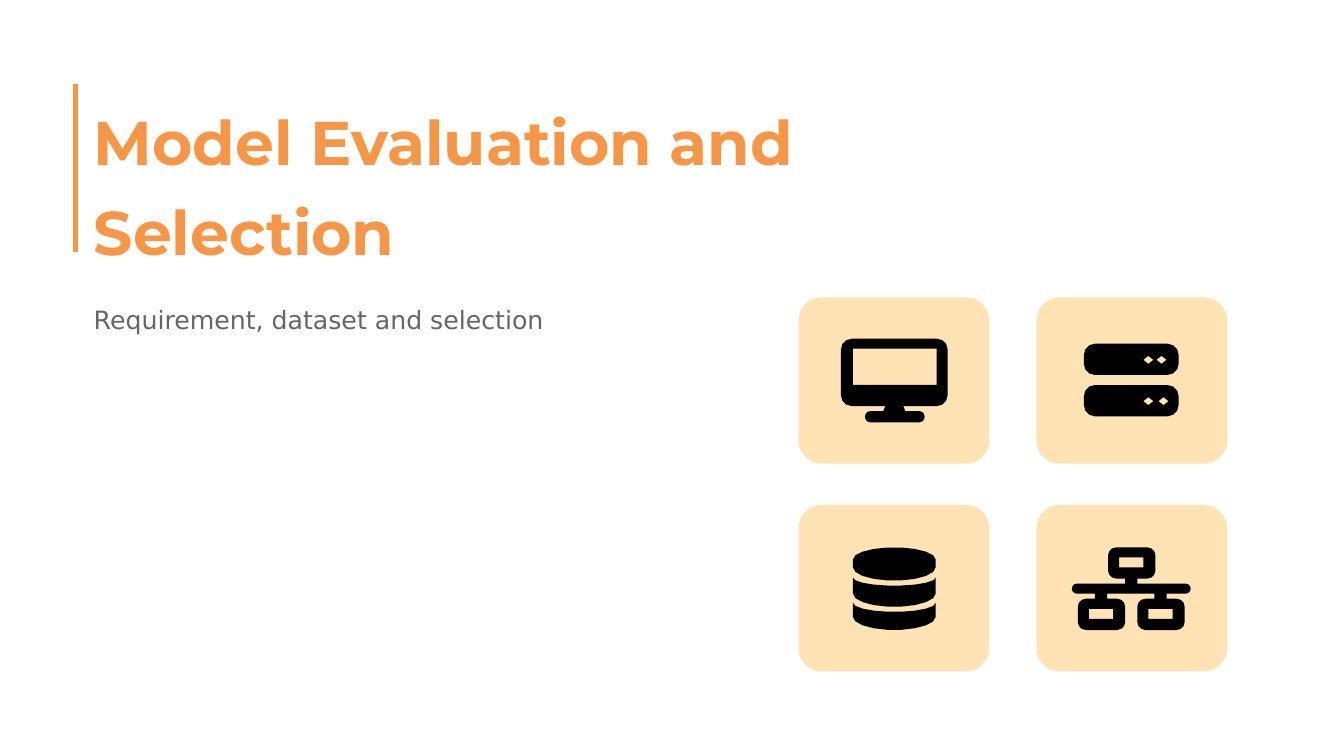
import math
from lxml import etree
from pptx import Presentation
from pptx import util as u
from pptx.dml.color import RGBColor
from pptx.enum import shapes, text
from pptx.oxml.ns import qn

ORANGE, CREAM, BLACK, GRAY = "F79646", "FFE3B4", "000000", "666666"

deck = Presentation()
deck.slide_width, deck.slide_height = u.Inches(13.33), u.Inches(7.5)
page = deck.slides.add_slide(deck.slide_layouts[5])


def write(box, content, size, font, color, bold=False, spacing=1.0, top=0.0):
    frame = box.text_frame
    frame.word_wrap = True
    frame.auto_size = text.MSO_AUTO_SIZE.SHAPE_TO_FIT_TEXT
    frame.vertical_anchor = text.MSO_ANCHOR.TOP
    frame.margin_left = frame.margin_right = frame.margin_bottom = 0
    frame.margin_top = u.Inches(top)
    para = frame.paragraphs[0]
    para.alignment = text.PP_ALIGN.LEFT
    para.line_spacing = spacing
    span = para.add_run()
    span.text = content
    span.font.size = u.Pt(size)
    span.font.name = font
    span.font.bold = bold
    span.font.color.rgb = RGBColor.from_string(color)


def block(left, top, width, height, corner=0):
    right, bottom = left + width - corner, top + height - corner
    centers = ((right, bottom), (left + corner, bottom),
               (left + corner, top + corner), (right, top + corner))
    turns = (0, 30, 60, 90) if corner else (0,)
    return [(x + corner * math.cos(math.radians(90 * quarter + turn)),
             y + corner * math.sin(math.radians(90 * quarter + turn)))
            for quarter, (x, y) in enumerate(centers) for turn in turns]


title = page.shapes.title
title.left, title.top, title.width, title.height = map(u.Inches, (0.93, 0.83, 7.36, 1.78))
write(title, "Model Evaluation and Selection", 44, "Montserrat", ORANGE,
      bold=True, spacing=u.Pt(64.5), top=0.04)

subtitle = page.shapes.add_textbox(*map(u.Inches, (0.93, 2.96, 6.77, 0.33)))
write(subtitle, "Requirement, dataset and selection", 18, "DejaVu Sans", GRAY,
      spacing=1.16, top=0.01)

monitor = [
    block(8.34, 3.36, 1.06, 0.67, 0.11),
    block(8.46, 3.46, 0.83, 0.36),
    [(8.78, 4.03), (8.96, 4.03), (8.98, 4.08), (8.76, 4.08)],
    block(8.58, 4.08, 0.59, 0.11, 0.05),
]

servers = []
for top, light_step in ((3.41, 0.13), (3.82, 0.15)):
    servers.append(block(10.75, top, 0.94, 0.31, 0.11))
    for light in range(2):
        x, y = 11.39 + light_step * light, top + 0.16
        servers.append([(x - 0.05, y), (x, y - 0.04), (x + 0.05, y), (x, y + 0.04)])

database = []
angles = [math.radians(degrees) for degrees in range(0, 181, 20)]
for top, top_bulge, bottom in ((5.55, -0.12, 5.63), (5.73, 0.08, 5.89), (5.98, 0.09, 6.12)):
    upper = [(8.87 - 0.41 * math.cos(a), top + top_bulge * math.sin(a)) for a in angles]
    lower = [(8.87 + 0.41 * math.cos(a), bottom + 0.13 * math.sin(a)) for a in angles]
    database.append(upper + lower)

network = [block(10.63, 5.79, 1.18, 0.1, 0.05)]
for left, top, stem_top in ((10.99, 5.43, 5.74), (10.69, 5.94, 5.89), (11.28, 5.94, 5.89)):
    network.append(block(left, top, 0.47, 0.31, 0.08))
    network.append(block(left + 0.11, top + 0.1, 0.24, 0.1))
    network.append(block(left + 0.17, stem_top, 0.12, 0.05))

for index, icon in enumerate((monitor, servers, database, network)):
    row, column = divmod(index, 2)
    card = page.shapes.add_shape(
        shapes.MSO_SHAPE.ROUNDED_RECTANGLE,
        *map(u.Inches, (7.92 + 2.36 * column, 2.95 + 2.06 * row, 1.89, 1.65)))
    card.adjustments[0] = 0.14
    outline = page.shapes.build_freeform(*map(u.Inches, icon[0][0]))
    for number, contour in enumerate(icon):
        points = [(u.Inches(x), u.Inches(y)) for x, y in contour]
        if number:
            outline.move_to(*points[0])
        outline.add_line_segments(points[1:], close=True)
    for shape, color in ((card, CREAM), (outline.convert_to_shape(), BLACK)):
        shape.shadow.inherit = False
        shape.fill.solid()
        shape.fill.fore_color.rgb = RGBColor.from_string(color)
        shape.line.fill.background()

accent = page.shapes.add_connector(shapes.MSO_CONNECTOR.STRAIGHT,
                                   *map(u.Inches, (0.75, 0.83, 0.75, 2.5)))
accent.line.color.rgb = RGBColor.from_string(ORANGE)
accent.line.width = u.Pt(4)
etree.SubElement(accent._element.spPr, qn("a:effectLst"))

deck.save("out.pptx")
